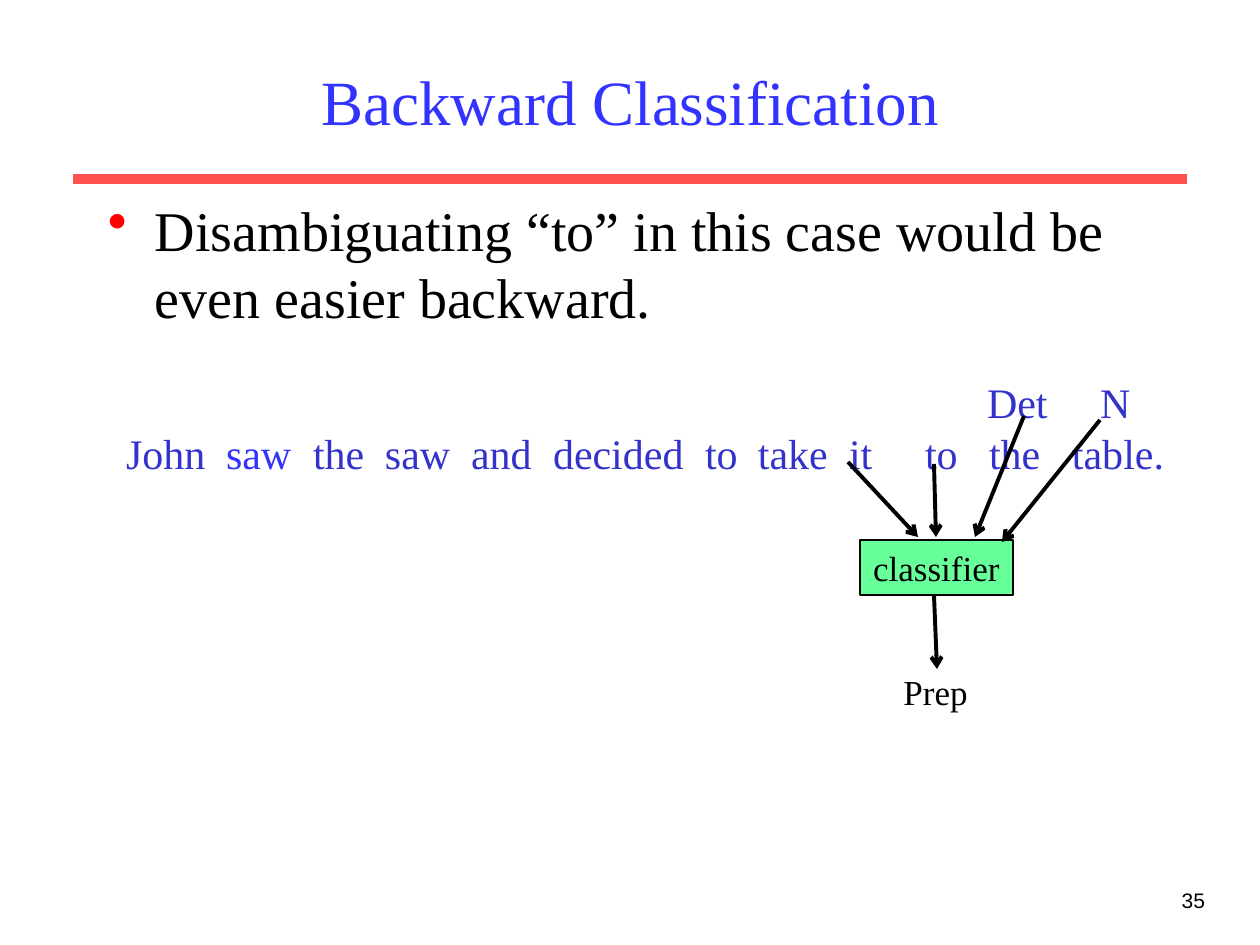
from lxml.etree import SubElement
from pptx import Presentation
from pptx.dml.color import RGBColor
from pptx.enum.shapes import MSO_CONNECTOR, MSO_SHAPE
from pptx.enum.text import MSO_ANCHOR, PP_ALIGN
from pptx.oxml.ns import qn
from pptx.util import Pt

SERIF, SANS = "Times New Roman", "Arial"
BLACK, BLUE, INDIGO = "000000", "3333FF", "3333CC"
RED, CORAL, GREEN = "FF0000", "FF5050", "66FF99"

# Content: lengths in px, 126 to the inch
SLIDE_SIZE = (1260, 945)
RULE = (73, 179, 1187, 179)
TITLE = ("Backward Classification", (95, 32, 1071, 136))
BULLET = ("Disambiguating “to” in this case would be even easier backward.",
          (95, 189, 1071, 646))
PAGE_NUMBER = ("35", (956, 882, 262, 63))
CLASSIFIER = ("classifier", (860, 540, 153, 55))
RESULT = ("Prep", (887, 664, 97, 55))

# Each word with the left edge where it starts
SENTENCE_BOX = (113, 371, 1063, 113)
TAGS = [("Det", 987), ("N", 1100)]
WORDS = [("John", 126), ("saw", 226), ("the", 313), ("saw", 385), ("and", 471),
         ("decided", 553), ("to", 705), ("take", 758), ("it", 849), ("to", 925),
         ("the", 989), ("table.", 1072)]
HIGHLIGHTED_WORD = 1

ARROWS = [
    (848, 462, 918, 537),   # it
    (1024, 416, 975, 537),  # Det
    (934, 464, 936, 537),   # to
    (1100, 420, 1002, 542), # N
    (934, 595, 937, 669),   # result
]

SCALE = 914400 / 126
INSET = 13


def px(length):
    return round(length * SCALE)


def color(hex_value):
    return RGBColor.from_string(hex_value)


def set_font(font, size, hex_value, name=SERIF):
    for key, value in {"size": Pt(size), "name": name}.items():
        setattr(font, key, value)
    font.color.rgb = color(hex_value)


def prepare_frame(shape, **changes):
    frame = shape.text_frame
    settings = {"word_wrap": True, "vertical_anchor": MSO_ANCHOR.TOP,
                "margin_left": px(INSET), "margin_right": px(INSET),
                "margin_top": px(6), "margin_bottom": px(6), **changes}
    for key, value in settings.items():
        setattr(frame, key, value)
    return frame


def write(shape, text, size, hex_value, align, name=SERIF, **frame_settings):
    paragraph = prepare_frame(shape, **frame_settings).paragraphs[0]
    paragraph.alignment = align
    run = paragraph.add_run()
    run.text = text
    set_font(run.font, size, hex_value, name)
    return paragraph


def add_box(slide, bounds):
    return slide.shapes.add_textbox(*map(px, bounds))


def add_line(slide, ends, hex_value, width, arrow=False):
    line = slide.shapes.add_connector(MSO_CONNECTOR.STRAIGHT, *map(px, ends))
    line.line.color.rgb = color(hex_value)
    line.line.width = Pt(width)
    if arrow:
        SubElement(line.line._get_or_add_ln(), qn("a:tailEnd"), type="arrow")
    SubElement(line._element.spPr, qn("a:effectLst"))


def add_bullet(paragraph, hanging):
    properties = paragraph._p.get_or_add_pPr()
    properties.set("marL", str(px(hanging)))
    properties.set("indent", str(-px(hanging)))
    bullet_color = SubElement(properties, qn("a:buClr"))
    SubElement(bullet_color, qn("a:srgbClr"), val=RED)
    SubElement(properties, qn("a:buChar"), char="•")


def write_words(paragraph, words, highlighted=None):
    """Place each word at its own tab stop, unless it starts the line."""
    text_left = SENTENCE_BOX[0] + INSET
    tabs = SubElement(paragraph._p.get_or_add_pPr(), qn("a:tabLst"))
    for index, (word, left) in enumerate(words):
        run = paragraph.add_run()
        run.text = word
        if left > text_left:
            run.text = "\t" + word
            SubElement(tabs, qn("a:tab"), pos=str(px(left - text_left)), algn="l")
        set_font(run.font, 24, BLUE if index == highlighted else INDIGO)


def main():
    presentation = Presentation()
    presentation.slide_width, presentation.slide_height = map(px, SLIDE_SIZE)
    slide = presentation.slides.add_slide(presentation.slide_layouts[6])

    # Rule, page number and title
    add_line(slide, RULE, CORAL, 6)
    text, bounds = PAGE_NUMBER
    write(add_box(slide, bounds), text, 12, BLACK, PP_ALIGN.RIGHT, SANS)
    text, bounds = TITLE
    write(add_box(slide, bounds), text, 36, BLUE, PP_ALIGN.CENTER,
          vertical_anchor=MSO_ANCHOR.MIDDLE)

    # Bullet
    text, bounds = BULLET
    paragraph = write(add_box(slide, bounds), text, 32, BLACK, PP_ALIGN.LEFT)
    add_bullet(paragraph, 47)

    # Tagged sentence
    frame = prepare_frame(add_box(slide, SENTENCE_BOX), margin_right=0)
    write_words(frame.paragraphs[0], TAGS)
    write_words(frame.add_paragraph(), WORDS, HIGHLIGHTED_WORD)

    # Classifier and its result
    text, bounds = CLASSIFIER
    classifier = slide.shapes.add_shape(MSO_SHAPE.RECTANGLE, *map(px, bounds))
    classifier.shadow.inherit = False
    classifier.fill.solid()
    classifier.fill.fore_color.rgb = color(GREEN)
    classifier.line.color.rgb = color(BLACK)
    classifier.line.width = Pt(1)
    write(classifier, text, 20, BLACK, PP_ALIGN.CENTER, word_wrap=False,
          vertical_anchor=MSO_ANCHOR.MIDDLE)
    text, bounds = RESULT
    write(add_box(slide, bounds), text, 20, BLACK, PP_ALIGN.CENTER)

    # Arrows
    for ends in ARROWS:
        add_line(slide, ends, BLACK, 2.25, arrow=True)

    presentation.save("out.pptx")


if __name__ == "__main__":
    main()
